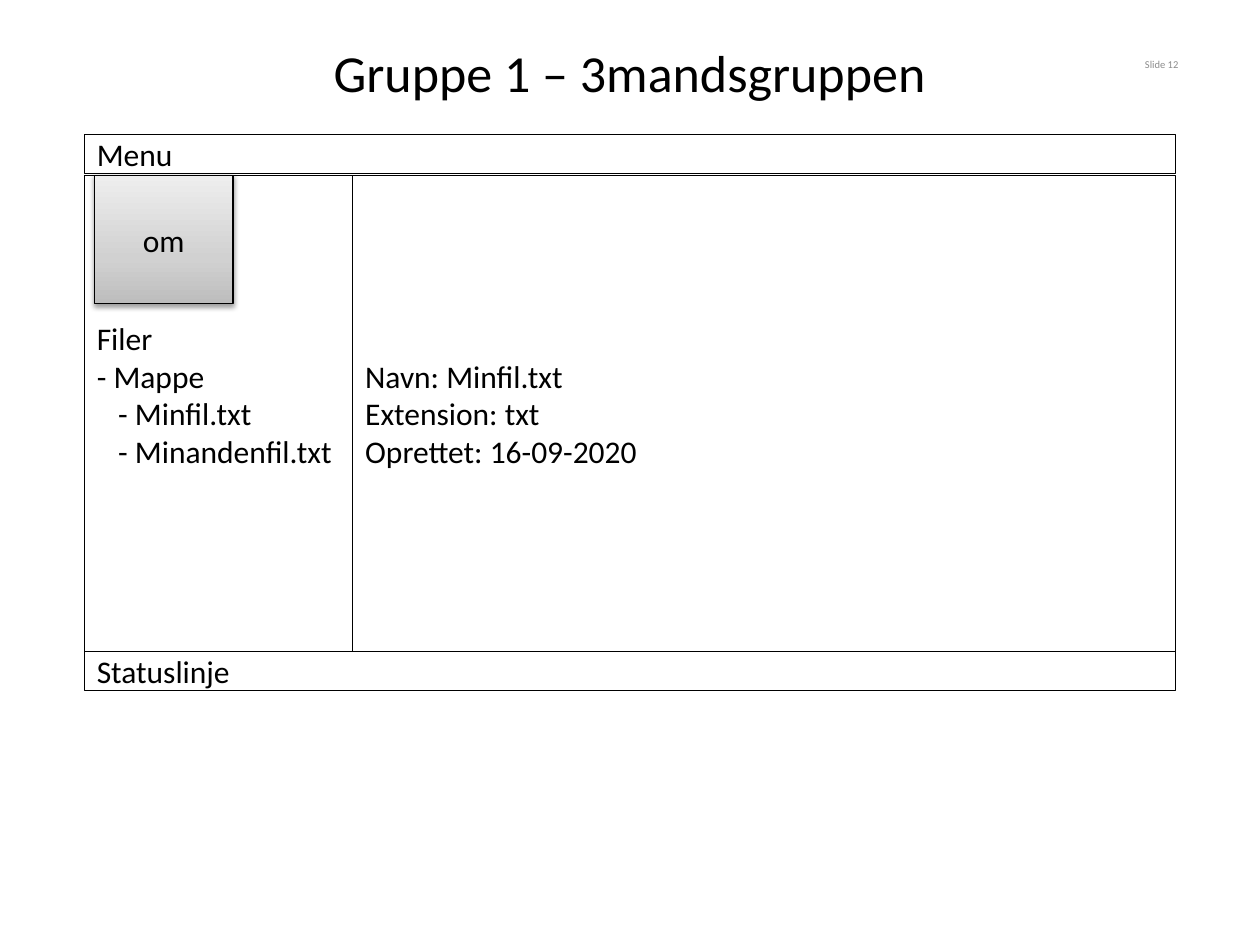
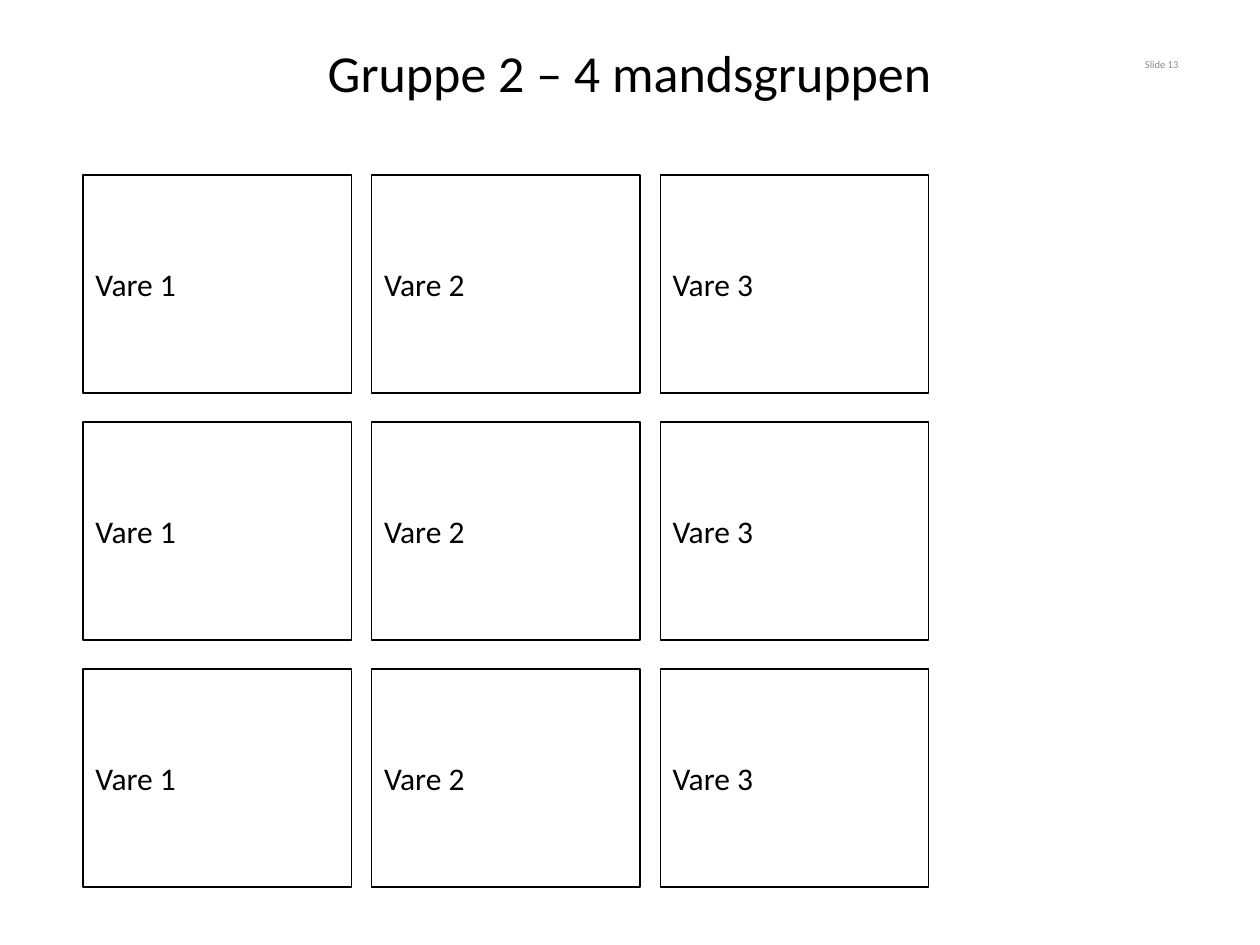
from copy import deepcopy
from itertools import product

from lxml.etree import SubElement
from pptx import Presentation
from pptx.dml.color import RGBColor
from pptx.enum.shapes import MSO_SHAPE
from pptx.enum.text import MSO_ANCHOR, PP_ALIGN
from pptx.oxml.ns import qn
from pptx.util import Inches, Pt


def color(hex_string):
    return RGBColor.from_string(hex_string)


class Deck:
    font = "Calibri"
    ink = "000000"
    muted = "8C8C8C"
    background = "FFFFFF"
    button_stops = ((0, "BDBDBD"), (0.35, "D1D1D1"), (1, "EEEEEE"))

    def __init__(self):
        self.presentation = Presentation()
        self.presentation.slide_width = Inches(10)
        self.presentation.slide_height = Inches(7.5)
        self.slide = None

    def add_slide(self, title, number):
        self.slide = self.presentation.slides.add_slide(self.presentation.slide_layouts[6])
        self.slide.background.fill.solid()
        self.slide.background.fill.fore_color.rgb = color(self.background)
        self.label(title, 0.5, 0.29, 9, 0.55, 29.7, self.ink, PP_ALIGN.CENTER)
        self.label(f"Slide {number}", 7.2, 0.31, 2.25, 0.4, 6, self.muted, PP_ALIGN.RIGHT)

    def set_text(self, shape, text, size, ink, align):
        frame = shape.text_frame
        frame.word_wrap = True
        frame.vertical_anchor = MSO_ANCHOR.MIDDLE
        frame.text = text
        for paragraph in frame.paragraphs:
            paragraph.alignment = align
            for run in paragraph.runs:
                run.font.name = self.font
                run.font.size = Pt(size)
                run.font.color.rgb = color(ink)

    def label(self, text, left, top, width, height, size, ink, align):
        box = self.slide.shapes.add_textbox(*map(Inches, (left, top, width, height)))
        self.set_text(box, text, size, ink, align)

    def panel(self, text, left, top, width, height, align=PP_ALIGN.LEFT):
        shape = self.slide.shapes.add_shape(
            MSO_SHAPE.RECTANGLE, *map(Inches, (left, top, width, height)))
        shape.shadow.inherit = False
        shape.fill.background()
        shape.line.color.rgb = color(self.ink)
        shape.line.width = Pt(0.75)
        self.set_text(shape, text, 18, self.ink, align)
        return shape

    def file_tree(self, entries, left, top, width, height):
        tree = self.panel("\n".join(name for name, _ in entries), left, top, width, height)
        tree.text_frame.margin_bottom = Inches(0.35)
        for paragraph, (_, level) in zip(tree.text_frame.paragraphs, entries):
            properties = paragraph._p.get_or_add_pPr()
            properties.set("marL", str(level * Inches(0.17)))
            properties.set("indent", "0")

    def button(self, text, left, top, width, height):
        button = self.panel(text, left, top, width, height, PP_ALIGN.CENTER)
        button.fill.gradient()
        button.fill.gradient_angle = 90
        properties = button._element.spPr
        stop_list = properties.find(".//" + qn("a:gsLst"))
        stop_list.append(deepcopy(stop_list[0]))
        for stop, (position, shade) in zip(button.fill.gradient_stops, self.button_stops):
            stop.position = position
            stop.color.rgb = color(shade)
        shadow = SubElement(
            properties.find(qn("a:effectLst")), qn("a:outerShdw"),
            blurRad=str(Pt(3.1)), dist=str(Pt(1.6)), dir="5400000", rotWithShape="0")
        shade = SubElement(shadow, qn("a:srgbClr"), val=self.ink)
        SubElement(shade, qn("a:alpha"), val="38000")

    def save(self):
        self.presentation.save("out.pptx")


deck = Deck()

deck.add_slide("Gruppe 1 – 3mandsgruppen", 12)
window_left, window_width = 0.67, 8.66
bar_height = 0.31
content_top, content_height = 1.39, 3.78
tree_width = 2.13
deck.panel("Menu", window_left, 1.07, window_width, bar_height)
deck.panel("Statuslinje", window_left, content_top + content_height, window_width, bar_height)
files = [("Filer", 0), ("- Mappe", 0), ("- Minfil.txt", 1), ("- Minandenfil.txt", 1)]
deck.file_tree(files, window_left, content_top, tree_width, content_height)
deck.panel("Navn: Minfil.txt\nExtension: txt\nOprettet: 16-09-2020",
           window_left + tree_width, content_top, window_width - tree_width, content_height)
deck.button("om", 0.75, content_top, 1.1, 1.02)

deck.add_slide("Gruppe 2 – 4 mandsgruppen", 13)
for row, column in product(range(3), range(3)):
    deck.panel(f"Vare {column + 1}", 0.66 + 2.29 * column, 1.39 + 1.96 * row, 2.13, 1.73)

deck.save()
